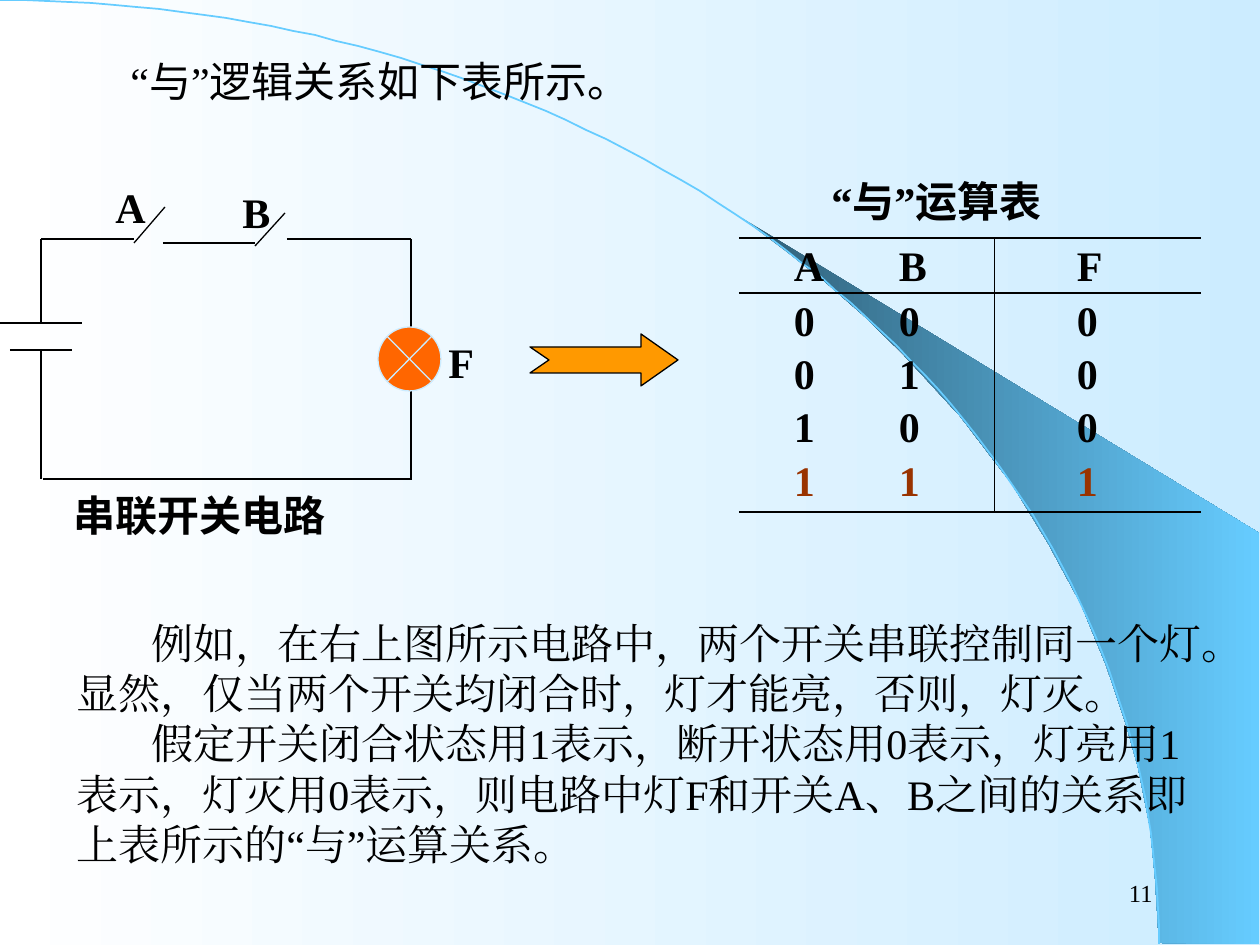
from itertools import groupby
from math import cos, pi, sin

from pptx import Presentation
from pptx.dml.color import RGBColor
from pptx.enum.shapes import MSO_CONNECTOR, MSO_SHAPE
from pptx.enum.text import MSO_ANCHOR, PP_ALIGN
from pptx.oxml.ns import qn
from pptx.util import Emu, Pt
from lxml.etree import SubElement

EMU_PER_PX = 914400 / 126
BLACK, SKY, PALE, RUST = "000000", "66CCFF", "CCECFF", "993300"
SERIF, HAN = "Times New Roman", "Noto Sans CJK SC"


def px(length):
    return Emu(round(length * EMU_PER_PX))


def rgb(hex_color):
    return RGBColor.from_string(hex_color)


def paint_gradient(fill, start, end):
    """Fill from left to right."""
    fill.gradient()
    fill.gradient_angle = 0
    for stop, color, position in zip(fill.gradient_stops, (start, end), (0, 1)):
        stop.color.rgb = rgb(color)
        stop.position = position


def style_run(run, font, size, color, bold):
    run.font.name = font
    run.font.size = Pt(size)
    run.font.bold = bold
    run.font.color.rgb = rgb(color)
    properties = run.font._element
    properties.set("lang", "zh-CN")
    SubElement(properties, qn("a:ea")).set("typeface", font)


def set_border(cell, side, visible):
    """Draw or hide one cell edge; side is lnL, lnR, lnT or lnB."""
    edge = SubElement(cell._tc.get_or_add_tcPr(), qn(f"a:{side}"), w=str(Pt(0.75)))
    if visible:
        solid = SubElement(edge, qn("a:solidFill"))
        SubElement(solid, qn("a:srgbClr"), val=BLACK)
    else:
        SubElement(edge, qn("a:noFill"))


class Board:
    """Holds the slide and the common look of its elements."""

    def __init__(self, slide, size=24, line_width=0.75):
        self.slide = slide
        self.size = size
        self.line_width = line_width

    def finish(self, shape, line=None, fill=None):
        shape.shadow.inherit = False
        if fill:
            shape.fill.solid()
            shape.fill.fore_color.rgb = rgb(fill)
        else:
            shape.fill.background()
        if line:
            shape.line.color.rgb = rgb(line)
            shape.line.width = Pt(self.line_width)
        else:
            shape.line.fill.background()
        return shape

    def outline(self, points, close=True, **look):
        builder = self.slide.shapes.build_freeform(*points[0], scale=EMU_PER_PX)
        builder.add_line_segments(points[1:], close=close)
        return self.finish(builder.convert_to_shape(), **look)

    def preset(self, kind, left, top, width, height, **look):
        shape = self.slide.shapes.add_shape(
            kind, px(left), px(top), px(width), px(height))
        return self.finish(shape, **look)

    def wire(self, x1, y1, x2, y2):
        line = self.slide.shapes.add_connector(
            MSO_CONNECTOR.STRAIGHT, px(x1), px(y1), px(x2), px(y2))
        line.line.color.rgb = rgb(BLACK)
        line.line.width = Pt(self.line_width)
        SubElement(line._element.spPr, qn("a:effectLst"))

    def text(self, left, top, width, height, *paragraphs, indent=0, bold=False,
             size=None, wrap=True, spacing=28.8, align=PP_ALIGN.LEFT):
        box = self.slide.shapes.add_textbox(px(left), px(top), px(width), px(height))
        frame = box.text_frame
        frame.word_wrap = wrap
        frame.text = "\n".join(paragraphs)
        for paragraph in frame.paragraphs:
            paragraph.alignment = align
            paragraph.line_spacing = Pt(spacing)
            paragraph._p.get_or_add_pPr().set("indent", str(px(indent)))
            for run in paragraph.runs:
                style_run(run, SERIF, size or self.size, BLACK, bold)
        return frame

    def heading(self, left, top, width, words, indent, bold=True):
        """Chinese line whose quotation marks are set in the serif font."""
        frame = self.text(left, top, width, 63, "", indent=indent, spacing=31)
        paragraph = frame.paragraphs[0]
        for is_quote, letters in groupby(words, lambda letter: letter in "“”"):
            run = paragraph.add_run()
            run.text = "".join(letters)
            style_run(run, SERIF if is_quote else HAN, self.size, BLACK, bold)

    def truth_table(self, left, top, widths, heights, margins, rows):
        table = self.slide.shapes.add_table(
            len(rows), len(widths), px(left), px(top),
            px(sum(widths)), px(sum(heights))).table
        table.first_row = table.horz_banding = False
        style = table._tbl.tblPr.find(qn("a:tableStyleId"))
        style.text = "{2D5ABB26-0587-4C30-8999-92F81FD0307C}"
        for column, width in zip(table.columns, widths):
            column.width = px(width)
        last_row, last_column = len(rows) - 1, len(widths) - 1
        for r, values in enumerate(rows):
            table.rows[r].height = px(heights[r])
            for c, value in enumerate(values):
                cell = table.cell(r, c)
                cell.margin_left, cell.margin_right = px(margins[c]), 0
                cell.margin_top, cell.margin_bottom = px(4), 0
                cell.text_frame.text = value
                paragraph = cell.text_frame.paragraphs[0]
                paragraph.line_spacing = Pt(28)
                color = RUST if r == last_row else BLACK
                style_run(paragraph.runs[0], SERIF, self.size, color, True)
                set_border(cell, "lnL", c == last_column)
                set_border(cell, "lnR", c == last_column - 1)
                set_border(cell, "lnT", r in (0, 1))
                set_border(cell, "lnB", r in (0, last_row))
                cell.fill.background()


def draw_backdrop(board):
    paint_gradient(board.slide.background.fill, "FFFFFF", PALE)
    wedge = board.outline([
        (1159, 943), (1259, 944), (1259, 533), (742, 218), (786, 251), (823, 280),
        (863, 315), (902, 353), (960, 416), (1012, 484), (1048, 543), (1081, 604),
        (1106, 665), (1125, 721), (1138, 767), (1150, 827), (1155, 877)])
    paint_gradient(wedge.fill, "2F5E76", SKY)
    steps = 80
    angles = [pi / 2 * step / steps for step in range(steps + 1)]
    arc = board.outline([(1159 * sin(a), 944 * (1 - cos(a))) for a in angles],
                        close=False, line=SKY)
    arc.line.width = Pt(1)


def draw_circuit(board):
    switches = [(134, 243, 165, 207), (255, 246, 285, 213)]
    battery = [(0, 323, 82, 323), (10, 350, 72, 350)]
    wires = [(41, 239, 134, 239), (163, 243, 255, 243), (287, 239, 411, 239),
             (411, 239, 411, 336), (411, 383, 411, 479), (43, 479, 412, 479),
             (41, 323, 41, 239), (41, 350, 41, 479)]
    for ends in switches + battery + wires:
        board.wire(*ends)
    board.preset(MSO_SHAPE.FLOWCHART_SUMMING_JUNCTION, 378, 327, 63, 64,
                 fill="FF6600", line=PALE)
    for label, left, top in (("A", 103, 175), ("B", 230, 180), ("F", 436, 330)):
        board.text(left, top, 54, 63, label, bold=True, wrap=False)
    board.heading(31, 479, 420, "串联开关电路", indent=30)


def main():
    deck = Presentation()
    deck.slide_width, deck.slide_height = px(1260), px(945)
    board = Board(deck.slides.add_slide(deck.slide_layouts[6]))

    draw_backdrop(board)
    number = board.text(903, 861, 262, 63, "11", size=14, spacing=17,
                        align=PP_ALIGN.RIGHT)
    number.vertical_anchor = MSO_ANCHOR.MIDDLE

    board.truth_table(739, 238, widths=(105, 151, 206), heights=(55, 53, 53, 53, 60),
                      margins=(55, 55, 82), rows=("ABF", "000", "010", "100", "111"))
    board.heading(769, 165, 388, "“与”运算表", indent=50)
    draw_circuit(board)
    board.text(
        64, 611, 1166, 265,
        "例如，在右上图所示电路中，两个开关串联控制同一个灯。显然，仅当两个开关均闭合时，灯才能亮，否则，灯灭。",
        "假定开关闭合状态用1表示，断开状态用0表示，灯亮用1表示，灯灭用0表示，则电路中灯F和开关A、B之间的关系即上表所示的“与”运算关系。",
        indent=75)
    board.heading(64, 45, 1113, "“与”逻辑关系如下表所示。", indent=54, bold=False)
    board.outline([(530, 347), (641, 347), (641, 334), (678, 360), (641, 386),
                   (641, 373), (530, 373), (549, 360)], fill="FF9900", line=BLACK)
    deck.save("out.pptx")


if __name__ == "__main__":
    main()
